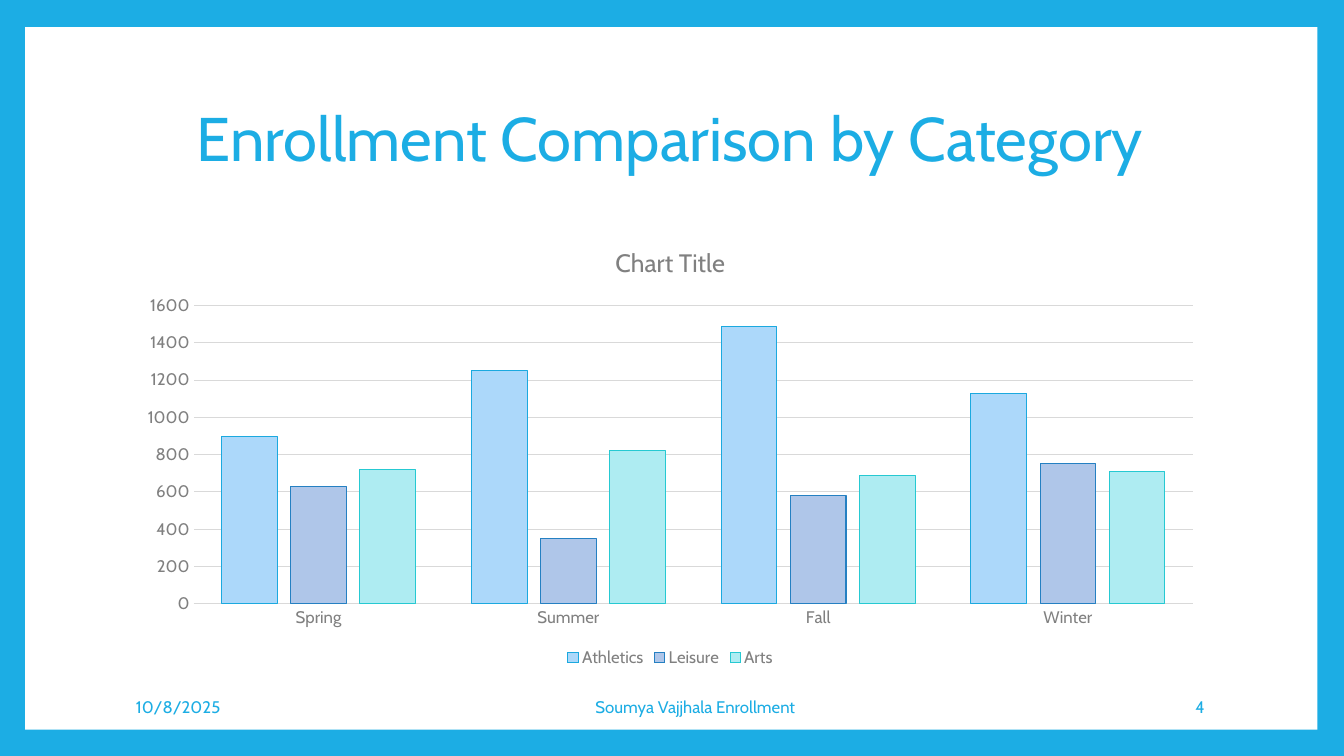
import pptx
import pptx.chart.data
import pptx.dml.color
import pptx.enum.chart
import pptx.enum.shapes
import pptx.enum.text
import pptx.util
from dataclasses import dataclass
from typing import Any

Pt = pptx.util.Pt
Align = pptx.enum.text.PP_ALIGN
Kind = pptx.enum.chart

FACE = "Cabin"
BLUE, GREY, PALE, WHITE = "1CADE4", "808080", "D9D9D9", "FFFFFF"
LEFT, WIDTH = 90, 777.6


@dataclass
class Series:
    name: str
    vals: tuple[int, ...]
    fill: str
    line: str


@dataclass
class Label:
    text: str
    left: float
    width: float
    align: Any


SEASONS = ("Spring", "Summer", "Fall", "Winter")
SERIES = (
    Series("Athletics", (900, 1250, 1490, 1130), "ACD8FA", "1BA9DF"),
    Series("Leisure", (630, 350, 580, 750), "AFC6E9", "2580C2"),
    Series("Arts", (720, 820, 690, 710), "AEECF2", "26C9D2"),
)
FOOTER = (
    Label("10/8/2025", LEFT, 183.6, Align.LEFT),
    Label("Soumya Vajjhala Enrollment", 311, 371.5, Align.CENTER),
    Label("4", 734.4, 133.2, Align.RIGHT),
)


def color(code: str) -> pptx.dml.color.RGBColor:
    return pptx.dml.color.RGBColor.from_string(code)


def style(item: Any, **values: Any) -> None:
    for key, value in values.items():
        setattr(item, key, value)


def paint(fill: Any, code: str) -> None:
    fill.solid()
    fill.fore_color.rgb = color(code)


def ink(font: Any, size: float, code: str) -> None:
    style(font, name=FACE, size=Pt(size), bold=False)
    font.color.rgb = color(code)


def stroke(line: Any, code: str) -> None:
    paint(line.fill, code)
    line.width = Pt(0.75)


def write(shape: Any, text: str, size: float, align: Any) -> None:
    frame = shape.text_frame
    style(frame, text=text, word_wrap=True,
          auto_size=pptx.enum.text.MSO_AUTO_SIZE.NONE,
          vertical_anchor=pptx.enum.text.MSO_ANCHOR.MIDDLE)
    para = frame.paragraphs[0]
    para.alignment = align
    ink(para.runs[0].font, size, BLUE)


def plot(slide: Any) -> None:
    data = pptx.chart.data.CategoryChartData()
    data.categories = SEASONS
    for row in SERIES:
        data.add_series(row.name, row.vals)
    chart = slide.shapes.add_chart(
        Kind.XL_CHART_TYPE.COLUMN_CLUSTERED,
        Pt(LEFT), Pt(162), Pt(WIDTH), Pt(318), data).chart
    ink(chart.font, 12, GREY)

    # Chart title and legend
    style(chart, has_title=True, has_legend=True)
    head = chart.chart_title
    head.include_in_layout = False
    head.text_frame.text = "Chart Title"
    ink(head.text_frame.paragraphs[0].runs[0].font, 18, GREY)
    style(chart.legend, include_in_layout=False,
          position=Kind.XL_LEGEND_POSITION.BOTTOM)
    ink(chart.legend.font, 12, GREY)

    # Axes
    for axis in (chart.category_axis, chart.value_axis):
        style(axis, major_tick_mark=Kind.XL_TICK_MARK.NONE,
              minor_tick_mark=Kind.XL_TICK_MARK.NONE)
        ink(axis.tick_labels.font, 12, GREY)
    stroke(chart.category_axis.format.line, PALE)
    scale = chart.value_axis
    style(scale, minimum_scale=0, maximum_scale=1600, major_unit=200)
    scale.format.line.fill.background()
    stroke(scale.major_gridlines.format.line, PALE)

    # Columns
    bars = chart.plots[0]
    style(bars, gap_width=100, overlap=-24, vary_by_categories=False)
    for row, bar in zip(SERIES, bars.series):
        paint(bar.format.fill, row.fill)
        stroke(bar.format.line, row.line)


def main() -> None:
    deck = pptx.Presentation()
    style(deck, slide_width=Pt(960), slide_height=Pt(540))
    slide = deck.slides.add_slide(deck.slide_layouts[5])

    # Blue border around a white panel
    paint(slide.background.fill, BLUE)
    panel = slide.shapes.add_shape(
        pptx.enum.shapes.MSO_SHAPE.RECTANGLE,
        Pt(18), Pt(19.4), Pt(923), Pt(501.8))
    panel.shadow.inherit = False
    paint(panel.fill, WHITE)
    panel.line.fill.background()

    # Title, in front of the panel
    title = slide.shapes.title
    title.element.addprevious(panel.element)
    style(title, left=Pt(LEFT), top=Pt(48), width=Pt(WIDTH), height=Pt(106.6))
    write(title, "Enrollment Comparison by Category", 44, Align.CENTER)
    title.text_frame.paragraphs[0].line_spacing = 0.9

    plot(slide)

    # Footer
    for label in FOOTER:
        box = slide.shapes.add_textbox(
            Pt(label.left), Pt(490.3), Pt(label.width), Pt(28.8))
        write(box, label.text, 12, label.align)

    deck.save("out.pptx")


if __name__ == "__main__":
    main()
